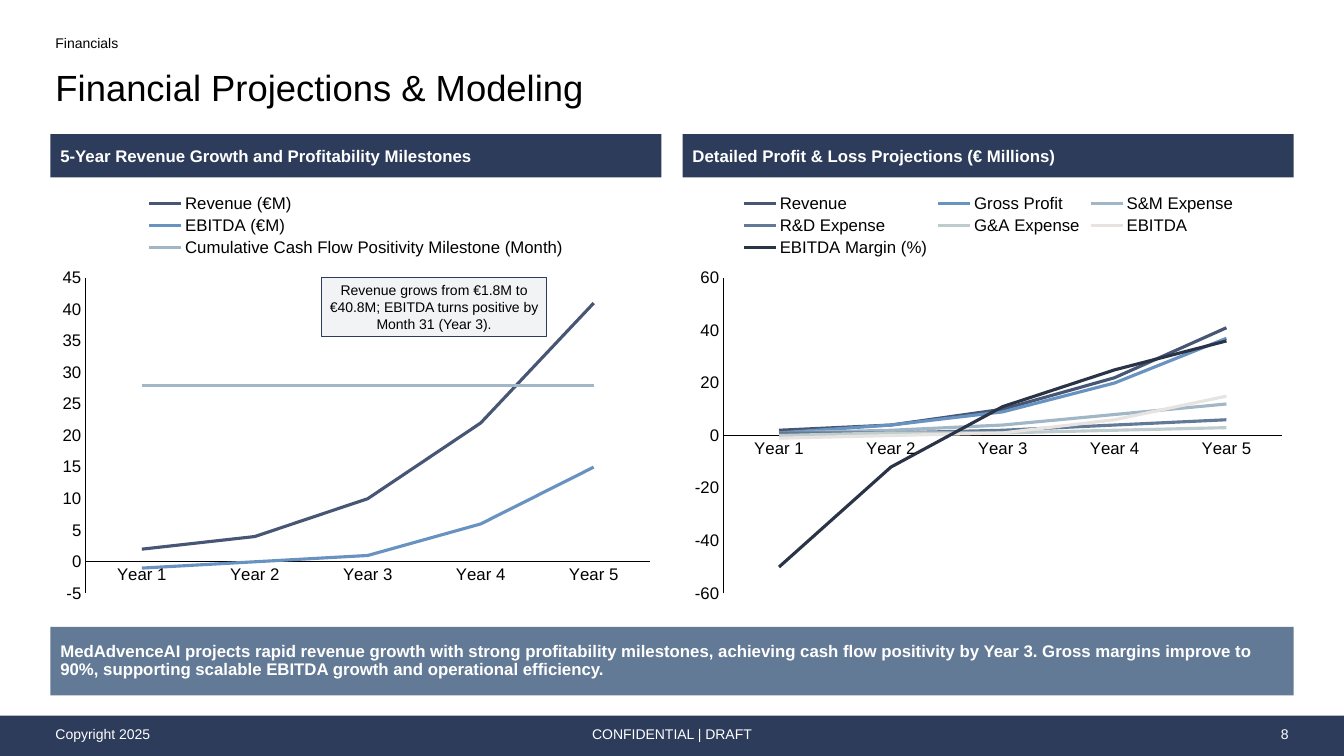
from pptx import Presentation
from pptx.chart.data import CategoryChartData
from pptx.dml.color import RGBColor
from pptx.enum.chart import XL_CHART_TYPE as ChartType, XL_LEGEND_POSITION as LegendPosition, XL_TICK_MARK as TickMark
from pptx.enum.shapes import MSO_SHAPE as Preset
from pptx.enum.text import MSO_ANCHOR as Anchor, PP_ALIGN as Align
from pptx.util import Inches, Pt

BLACK = RGBColor(0x00, 0x00, 0x00)
WHITE = RGBColor(0xFF, 0xFF, 0xFF)
NAVY = RGBColor(0x2C, 0x3C, 0x5A)
SLATE = RGBColor(0x63, 0x7A, 0x96)
PALE = RGBColor(0xF1, 0xF3, 0xF5)
LINE_COLORS = [RGBColor.from_string(code) for code in
               ("465674", "6893C1", "A1B6C7", "637A96", "BFCCCD", "E6E3E1", "2A3446")]

FONT = "Arial"
SLIDE_WIDTH, SLIDE_HEIGHT = 13.33, 7.5
MARGIN = 0.5
CONTENT_WIDTH = SLIDE_WIDTH - 2 * MARGIN
PANEL_WIDTH = 6.06
GAP = CONTENT_WIDTH - 2 * PANEL_WIDTH
YEARS = [f"Year {number}" for number in range(1, 6)]

REVENUE = [2, 4, 10, 22, 41]
EBITDA = [-1, 0, 1, 6, 15]
PANELS = [
    ("5-Year Revenue Growth and Profitability Milestones", (-5, 45, 5), {
        "Revenue (€M)": REVENUE,
        "EBITDA (€M)": EBITDA,
        "Cumulative Cash Flow Positivity Milestone (Month)": [28] * 5,
    }),
    ("Detailed Profit & Loss Projections (€ Millions)", (-60, 60, 20), {
        "Revenue": REVENUE,
        "Gross Profit": [1, 4, 9, 20, 37],
        "S&M Expense": [1, 2, 4, 8, 12],
        "R&D Expense": [1, 1, 2, 4, 6],
        "G&A Expense": [0, 1, 1, 2, 3],
        "EBITDA": EBITDA,
        "EBITDA Margin (%)": [-50, -12, 11, 25, 36],
    }),
]


def inches(box):
    """Turn a left, top, width, height box into lengths."""
    return [Inches(length) for length in box]


def set_font(font, size, color=BLACK, bold=False):
    """Apply the deck's typeface with a size and colour."""
    font.name = FONT
    font.size = Pt(size)
    font.bold = bold
    font.color.rgb = color


def write(shape, text, size, color=BLACK, bold=False, align=Align.LEFT,
          anchor=Anchor.MIDDLE, insets=(0.05, 0.05, 0.05, 0.05), spacing=None):
    """Fill a shape with one formatted paragraph."""
    frame = shape.text_frame
    frame.word_wrap = True
    frame.vertical_anchor = anchor
    (frame.margin_left, frame.margin_top,
     frame.margin_right, frame.margin_bottom) = inches(insets)
    paragraph = frame.paragraphs[0]
    paragraph.alignment = align
    paragraph.line_spacing = spacing
    run = paragraph.add_run()
    run.text = text
    set_font(run.font, size, color, bold)


def add_label(slide, box, text, **style):
    """Place a small text label."""
    write(slide.shapes.add_textbox(*inches(box)), text, 10, **style)


def add_band(slide, box, fill, outline=None):
    """Place a flat rectangle, outlined on request."""
    band = slide.shapes.add_shape(Preset.RECTANGLE, *inches(box))
    band.shadow.inherit = False
    band.fill.solid()
    band.fill.fore_color.rgb = fill
    if outline is None:
        band.line.fill.background()
    else:
        band.line.color.rgb = outline
        band.line.width = Pt(1)
    return band


def add_heading(slide, left, top, width):
    """Place the section name and the slide title."""
    add_label(slide, (left, top, width, 0.29), "Financials", anchor=Anchor.TOP, spacing=0.9)
    title = slide.shapes.title
    title.left, title.top, title.width, title.height = inches((left, top + 0.29, width, 0.54))
    write(title, "Financial Projections & Modeling", 26, insets=(0.05, 0.05, 0.05, 0), spacing=0.9)


def add_line_chart(slide, box, scale, series_values):
    """Place a line chart with its legend on top."""
    data = CategoryChartData()
    data.categories = YEARS
    for name, values in series_values.items():
        data.add_series(name, values)
    chart = slide.shapes.add_chart(ChartType.LINE, *inches(box), data).chart
    set_font(chart.font, 10)
    chart.has_title = False
    chart.has_legend = True
    chart.legend.position = LegendPosition.TOP
    chart.legend.include_in_layout = False
    set_font(chart.legend.font, 12)
    chart.plots[0].vary_by_categories = False
    for series, color in zip(chart.plots[0].series, LINE_COLORS):
        series.smooth = False
        series.format.line.color.rgb = color
        series.format.line.width = Pt(2.25)
    for axis in (chart.category_axis, chart.value_axis):
        axis.has_major_gridlines = False
        axis.major_tick_mark = axis.minor_tick_mark = TickMark.NONE
        axis.format.line.color.rgb = BLACK
        axis.format.line.width = Pt(0.75)
        set_font(axis.tick_labels.font, 12)
    value_axis = chart.value_axis
    value_axis.minimum_scale, value_axis.maximum_scale, value_axis.major_unit = scale
    value_axis.tick_labels.number_format = "0"
    value_axis.tick_labels.number_format_is_linked = False


def add_panel(slide, left, top, width, heading, scale, series_values):
    """Place a headed panel holding one chart."""
    add_line_chart(slide, (left, top + 0.49, width + 0.01, 4.24), scale, series_values)
    header = add_band(slide, (left, top, width, 0.43), NAVY)
    write(header, heading, 12, WHITE, bold=True, insets=(0.1, 0.05, 0.1, 0.05))


def add_callout(slide, box):
    """Place the note over the revenue chart."""
    write(add_band(slide, box, PALE, NAVY),
          "Revenue grows from €1.8M to €40.8M; EBITDA turns positive by Month 31 (Year 3).",
          10, align=Align.CENTER, insets=(0.05, 0.02, 0.05, 0.02))


def add_takeaway(slide, box):
    """Place the closing message."""
    write(add_band(slide, box, SLATE),
          "MedAdvenceAI projects rapid revenue growth with strong profitability milestones, "
          "achieving cash flow positivity by Year 3. Gross margins improve to 90%, "
          "supporting scalable EBITDA growth and operational efficiency.",
          12, WHITE, bold=True, insets=(0.1, 0.1, 0.1, 0.1), spacing=0.9)


def add_footer(slide, top, height):
    """Place the footer bar and its three labels."""
    add_band(slide, (0, top, SLIDE_WIDTH, height), NAVY)
    width = CONTENT_WIDTH / 3
    for column, (text, align) in enumerate((("Copyright 2025", Align.LEFT),
                                            ("CONFIDENTIAL | DRAFT", Align.CENTER),
                                            ("8", Align.RIGHT))):
        add_label(slide, (MARGIN + column * width, top + 0.04, width, 0.28), text,
                  color=WHITE, align=align)


def main():
    """Build and save the financial projections slide."""
    deck = Presentation()
    deck.slide_width, deck.slide_height = Inches(SLIDE_WIDTH), Inches(SLIDE_HEIGHT)
    slide = deck.slides.add_slide(deck.slide_layouts[5])
    add_footer(slide, 7.1, 0.4)
    add_heading(slide, MARGIN, 0.31, CONTENT_WIDTH)
    for column, panel in enumerate(PANELS):
        add_panel(slide, MARGIN + column * (PANEL_WIDTH + GAP), 1.33, PANEL_WIDTH, *panel)
    add_callout(slide, (3.19, 2.75, 2.23, 0.59))
    add_takeaway(slide, (MARGIN, 6.22, CONTENT_WIDTH, 0.68))
    deck.save("out.pptx")


if __name__ == "__main__":
    main()
